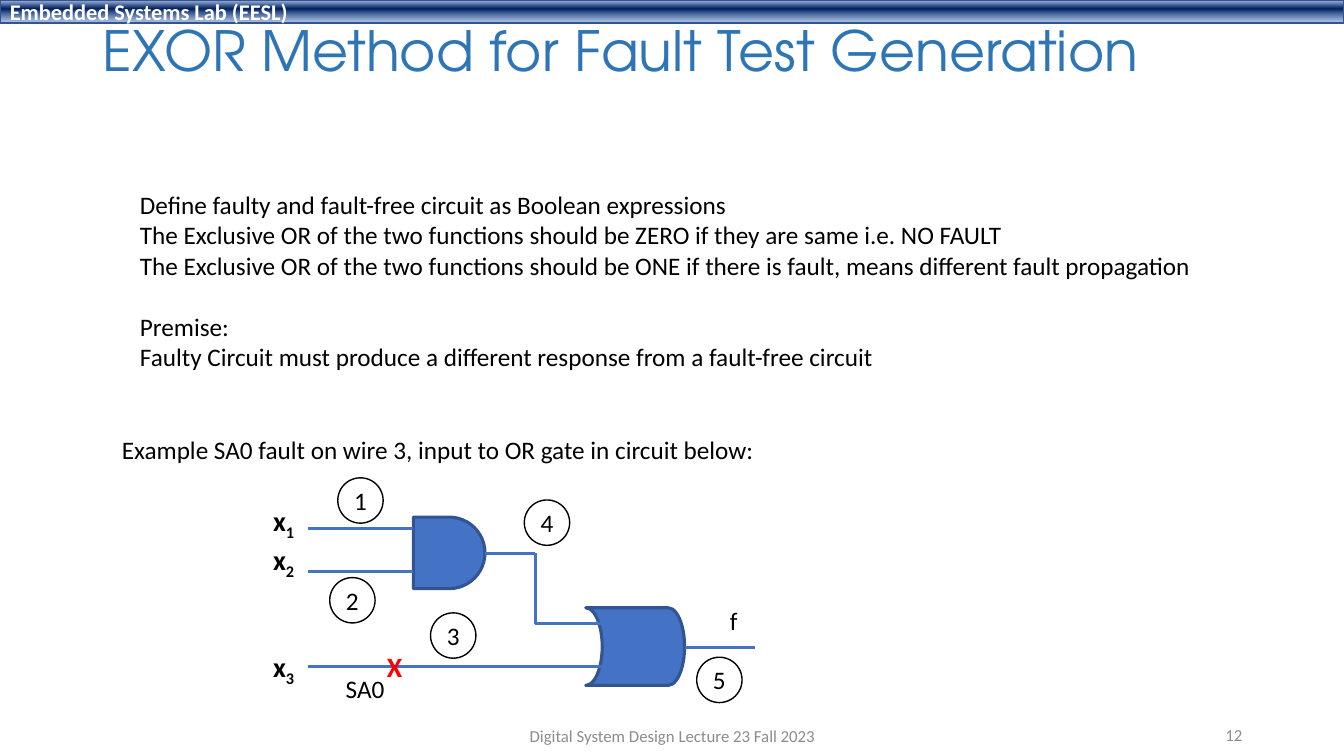
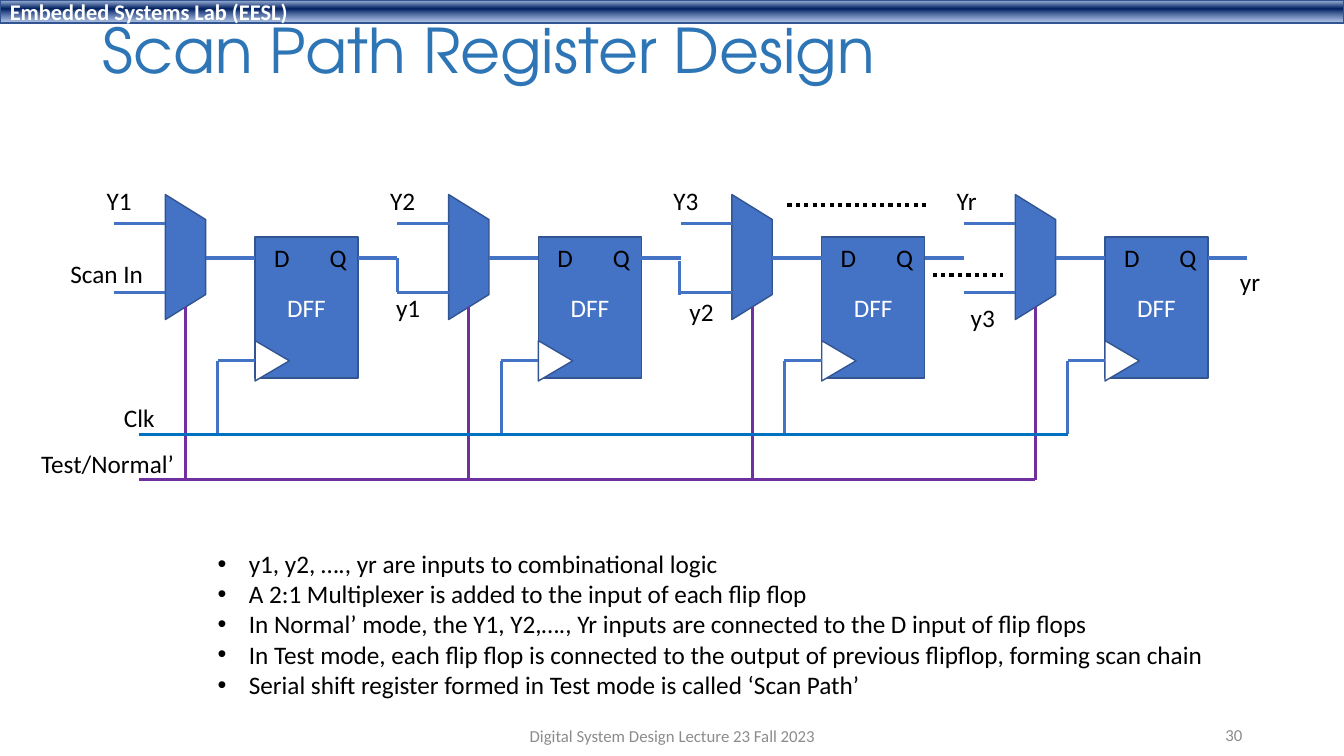
from dataclasses import dataclass

from pptx import Presentation
from pptx import util as u
from pptx.dml.color import RGBColor
from pptx.enum import dml, shapes, text
from pptx.oxml import ns, xmlchemy


@dataclass(frozen=True)
class Theme:
    body_font: str = "Calibri"
    title_font: str = "TeX Gyre Adventor"
    title_color: str = "2E75B6"
    ink: str = "000000"
    paper: str = "FFFFFF"
    muted: str = "8C8C8C"
    fill: str = "4472C4"
    outline: str = "325491"
    clock: str = "0070C0"
    test: str = "7030A0"
    fault: str = "FF0000"
    band_stops: tuple = ((2, "ABC0E4", 100), (38, "002060", 100), (93, "7E9ED6", 64))
    title_size: float = 44
    input_size: float = 20
    body_size: float = 18
    band_size: float = 16
    footer_size: float = 12
    thin: float = 1
    wire: float = 2.25
    dots: float = 3


THEME = Theme()
LEFT, CENTER, RIGHT = text.PP_ALIGN.LEFT, text.PP_ALIGN.CENTER, text.PP_ALIGN.RIGHT
SLIDE_WIDTH = 13.33
STAGE_PITCH = 2.81
STAGE_COUNT = 4
DATA_Y, SCAN_Y, OUTPUT_Y = 2.22, 2.9, 2.56
CLOCK_PIN_Y, CLOCK_Y, TEST_Y = 3.58, 4.31, 4.76


def color(value):
    return RGBColor.from_string(value)


def add_child(parent, tag, **attributes):
    child = xmlchemy.OxmlElement(tag)
    for name, value in attributes.items():
        child.set(name, str(value))
    parent.append(child)
    return child


def write_text(shape, content, size=THEME.body_size, ink=THEME.ink, font=THEME.body_font,
               bold=False, align=LEFT, middle=False, wrap=False, line_spacing=None,
               subscript="", bullet="", gaps=None):
    frame = shape.text_frame
    frame.word_wrap = wrap
    frame.vertical_anchor = text.MSO_ANCHOR.MIDDLE if middle else text.MSO_ANCHOR.TOP
    for index, line in enumerate(content.split("\n")):
        paragraph = frame.add_paragraph() if index else frame.paragraphs[0]
        paragraph.alignment = align
        if line_spacing:
            paragraph.line_spacing = line_spacing
        if gaps and index in gaps:
            paragraph.space_before = u.Pt(gaps[index])
        if bullet:
            properties = paragraph._p.get_or_add_pPr()
            indent = u.Inches(0.31)
            properties.set("marL", str(indent))
            properties.set("indent", str(-indent))
            add_child(properties, "a:buFont", typeface="Arial")
            add_child(properties, "a:buChar", char=bullet)
        for part in filter(None, (line, subscript)):
            run = paragraph.add_run()
            run.text = part
            run.font.name = font
            run.font.size = u.Pt(size)
            run.font.bold = bold
            run.font.color.rgb = color(ink)
        if subscript:
            run.font._element.set("baseline", "-25000")


def add_label(canvas, content, left, top, width, height=0.4, **text_format):
    box = canvas.add_textbox(*map(u.Inches, (left, top, width, height)))
    write_text(box, content, **text_format)


def add_block(canvas, kind, left, top, width, height, fill=THEME.fill,
              outline=THEME.outline, weight=THEME.thin, rotation=0):
    shape = canvas.add_shape(kind, *map(u.Inches, (left, top, width, height)))
    shape.shadow.inherit = False
    shape.rotation = rotation
    if fill:
        shape.fill.solid()
        shape.fill.fore_color.rgb = color(fill)
    else:
        shape.fill.background()
    shape.line.color.rgb = color(outline)
    shape.line.width = u.Pt(weight)
    return shape


def add_wires(canvas, *points, ink=THEME.fill, weight=THEME.wire, dotted=False):
    for start, end in zip(points, points[1:]):
        wire = canvas.add_connector(shapes.MSO_CONNECTOR.STRAIGHT,
                                    *map(u.Inches, (*start, *end)))
        wire.line.color.rgb = color(ink)
        wire.line.width = u.Pt(weight)
        if dotted:
            wire.line.dash_style = dml.MSO_LINE.ROUND_DOT
        add_child(wire._element.spPr, "a:effectLst")


def add_band(canvas):
    band = add_block(canvas, shapes.MSO_SHAPE.RECTANGLE, 0, 0, SLIDE_WIDTH, 0.23)
    band.fill.gradient()
    band.fill.gradient_angle = 270
    stops = band._element.spPr.find(".//" + ns.qn("a:gsLst"))
    for stop in list(stops):
        stops.remove(stop)
    for position, value, opacity in THEME.band_stops:
        stop = add_child(stops, "a:gs", pos=position * 1000)
        tint = add_child(stop, "a:srgbClr", val=value)
        if opacity < 100:
            add_child(tint, "a:alpha", val=opacity * 1000)
    write_text(band, "Embedded Systems Lab (EESL)", size=THEME.band_size,
               ink=THEME.paper, bold=True, middle=True, wrap=True)


def add_slide(presentation, title, number, title_size=THEME.title_size):
    canvas = presentation.slides.add_slide(presentation.slide_layouts[6]).shapes
    add_band(canvas)
    add_label(canvas, title, 0.92, 0.15, 11.5, 0.77, size=title_size,
              ink=THEME.title_color, font=THEME.title_font, middle=True, wrap=True,
              line_spacing=0.9)
    footer = dict(size=THEME.footer_size, ink=THEME.muted, middle=True, wrap=True)
    add_label(canvas, "Digital System Design Lecture 23 Fall 2023", 4.42, 7.1, 4.5,
              align=CENTER, **footer)
    add_label(canvas, str(number), 9.42, 7.09, 3, align=RIGHT, **footer)
    return canvas


def add_wire_number(canvas, number, left, top):
    circle = add_block(canvas, shapes.MSO_SHAPE.OVAL, left, top, 0.45, 0.45,
                       fill=None, outline=THEME.ink)
    write_text(circle, str(number), align=CENTER, middle=True)


def add_gate_circuit(canvas):
    add_block(canvas, shapes.MSO_SHAPE.FLOWCHART_DELAY, 4.1, 5.13, 0.71, 0.71,
              weight=THEME.wire)
    or_gate = add_block(canvas, shapes.MSO_SHAPE.FLOWCHART_STORED_DATA,
                        5.81, 6.03, 0.98, 0.77, weight=THEME.wire)
    or_gate._element.spPr.find(ns.qn("a:xfrm")).set("flipH", "1")
    for points in (
        ((3.05, 5.24), (4.1, 5.24)),
        ((3.05, 5.67), (4.1, 5.67)),
        ((3.05, 6.61), (6, 6.61)),
        ((4.81, 5.49), (5.31, 5.49), (5.31, 6.19), (6, 6.19)),
        ((6.79, 6.42), (7.49, 6.42)),
    ):
        add_wires(canvas, *points)
    for index, top in enumerate((4.95, 5.33, 6.39), start=1):
        add_label(canvas, "x", 2.61, top, 0.43, size=THEME.input_size, bold=True,
                  subscript=str(index))
    centers = ((3.35, 4.74), (3.27, 5.73), (4.27, 6.08), (5.2, 4.96), (6.91, 6.52))
    for number, position in enumerate(centers, start=1):
        add_wire_number(canvas, number, *position)
    add_label(canvas, "X", 3.74, 6.39, 0.36, 0.44, size=THEME.input_size,
              ink=THEME.fault, bold=True)
    add_label(canvas, "SA0", 3.33, 6.63, 0.59)
    add_label(canvas, "f", 7.14, 5.96, 0.28)


def build_exor_slide(presentation):
    canvas = add_slide(presentation, "EXOR Method for Fault Test Generation", 12,
                       title_size=39.6)
    add_label(
        canvas,
        "Define faulty and fault-free circuit as Boolean expressions\n"
        "The Exclusive OR of the two functions should be ZERO if they are same i.e. NO FAULT\n"
        "The Exclusive OR of the two functions should be ONE if there is fault, "
        "means different fault propagation\n"
        "Premise:\n"
        "Faulty Circuit must produce a different response from a fault-free circuit",
        1.29, 1.83, 10.76, 1.92, gaps={3: 22})
    add_label(canvas, "Example SA0 fault on wire 3, input to OR gate in circuit below:",
              1.11, 4.26, 6.55)
    add_gate_circuit(canvas.add_group_shape().shapes)


def add_scan_stage(canvas, offset):
    flip_flop = add_block(canvas, shapes.MSO_SHAPE.RECTANGLE, offset + 2.53, 2.35, 1.02, 1.4)
    write_text(flip_flop, "DFF", ink=THEME.paper, align=CENTER, middle=True)
    for pin, left in (("D", 2.62), ("Q", 3.17)):
        add_label(canvas, pin, offset + left, 2.35, 0.36)
    add_block(canvas, shapes.MSO_SHAPE.FLOWCHART_MANUAL_OPERATION,
              offset + 1.22, 2.35, 1.24, 0.4, rotation=270)
    add_block(canvas, shapes.MSO_SHAPE.ISOSCELES_TRIANGLE, offset + 2.5, 3.41, 0.4, 0.34,
              fill=THEME.paper, rotation=90)
    for start, end, y in ((2.04, 2.53, OUTPUT_Y), (1.13, 1.64, SCAN_Y),
                          (1.13, 1.64, DATA_Y), (3.55, 3.94, OUTPUT_Y)):
        add_wires(canvas, (offset + start, y), (offset + end, y))
    add_wires(canvas, (offset + 2.53, CLOCK_PIN_Y), (offset + 2.16, CLOCK_PIN_Y),
              (offset + 2.16, CLOCK_Y))
    add_wires(canvas, (offset + 1.84, 3.05), (offset + 1.84, TEST_Y), ink=THEME.test)


def build_scan_slide(presentation):
    canvas = add_slide(presentation, "Scan Path Register Design", 30)
    for index in range(STAGE_COUNT):
        add_scan_stage(canvas.add_group_shape().shapes, index * STAGE_PITCH)
    last = (STAGE_COUNT - 1) * STAGE_PITCH
    add_wires(canvas, (1.38, TEST_Y), (last + 1.84, TEST_Y), ink=THEME.test)
    add_wires(canvas, (1.38, CLOCK_Y), (last + 2.16, CLOCK_Y), ink=THEME.clock)
    add_wires(canvas, (3.94, OUTPUT_Y), (3.94, SCAN_Y))
    add_wires(canvas, (6.74, 2.59), (6.74, 2.93))
    for start, end, y in ((9.25, 9.95, 2.73), (7.81, 9.19, 2.03)):
        add_wires(canvas, (start, y), (end, y), ink=THEME.ink, weight=THEME.dots, dotted=True)
    for index, name in enumerate(("Y1", "Y2", "Y3", "Yr")):
        add_label(canvas, name, 0.96 + index * STAGE_PITCH, 1.79, 0.45)
    for name, left, top, width in (
        ("Clk", 1.13, 3.94, 0.51),
        ("Test/Normal’", 0.31, 4.4, 1.53),
        ("Scan In", 0.6, 2.51, 0.93),
        ("y1", 3.83, 2.85, 0.44),
        ("y2", 6.74, 2.89, 0.44),
        ("y3", 9.53, 2.95, 0.44),
        ("yr", 12.2, 2.59, 0.4),
    ):
        add_label(canvas, name, left, top, width)
    add_label(
        canvas,
        "y1, y2, …., yr are inputs to combinational logic\n"
        "A 2:1 Multiplexer is added to the input of each flip flop\n"
        "In Normal’ mode, the Y1, Y2,…., Yr inputs are connected to the D input of flip flops\n"
        "In Test mode, each flip flop is connected to the output of previous flipflop, "
        "forming scan chain\n"
        "Serial shift register formed in Test mode is called ‘Scan Path’",
        2.06, 5.39, 10.04, 1.62, bullet="•")


def main():
    presentation = Presentation()
    presentation.slide_width = u.Inches(SLIDE_WIDTH)
    presentation.slide_height = u.Inches(7.5)
    build_exor_slide(presentation)
    build_scan_slide(presentation)
    presentation.save("out.pptx")


if __name__ == "__main__":
    main()
